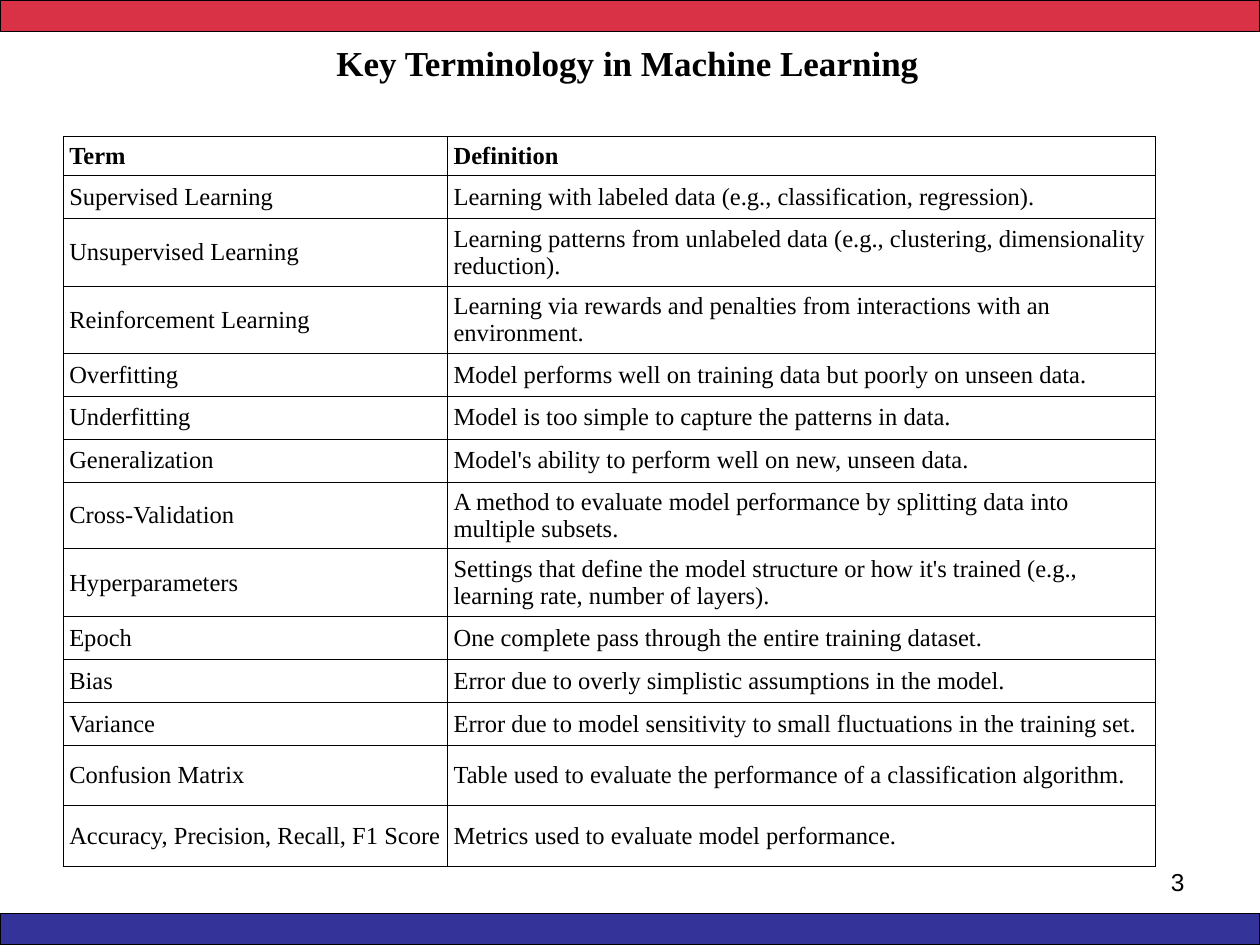
from lxml.etree import SubElement
from pptx import Presentation
from pptx.dml.color import RGBColor
from pptx.enum.shapes import MSO_SHAPE
from pptx.enum.text import MSO_ANCHOR, PP_ALIGN
from pptx.oxml.ns import qn
from pptx.util import Inches, Pt

THEME = {
    "red": RGBColor.from_string("D93145"),
    "blue": RGBColor.from_string("333399"),
    "ink": RGBColor.from_string("000000"),
    "bar_line": Pt(0.75),
    "cell_line": Pt(0.45),
    "title": {"name": "Times New Roman", "size": Pt(20), "bold": True},
    "head": {"name": "Times New Roman", "size": Pt(14), "bold": True},
    "body": {"name": "Times New Roman", "size": Pt(14), "bold": False},
    "number": {"name": "Arial", "size": Pt(14), "bold": False},
}

# Row height in inches, term, definition
ROWS = [
    (0.29, "Term", "Definition"),
    (0.34, "Supervised Learning", "Learning with labeled data (e.g., classification, regression)."),
    (0.54, "Unsupervised Learning",
     "Learning patterns from unlabeled data (e.g., clustering, dimensionality reduction)."),
    (0.53, "Reinforcement Learning",
     "Learning via rewards and penalties from interactions with an environment."),
    (0.34, "Overfitting", "Model performs well on training data but poorly on unseen data."),
    (0.34, "Underfitting", "Model is too simple to capture the patterns in data."),
    (0.34, "Generalization", "Model's ability to perform well on new, unseen data."),
    (0.53, "Cross-Validation",
     "A method to evaluate model performance by splitting data into multiple subsets."),
    (0.54, "Hyperparameters",
     "Settings that define the model structure or how it's trained "
     "(e.g., learning rate, number of layers)."),
    (0.34, "Epoch", "One complete pass through the entire training dataset."),
    (0.34, "Bias", "Error due to overly simplistic assumptions in the model."),
    (0.34, "Variance", "Error due to model sensitivity to small fluctuations in the training set."),
    (0.48, "Confusion Matrix",
     "Table used to evaluate the performance of a classification algorithm."),
    (0.48, "Accuracy, Precision, Recall, F1 Score", "Metrics used to evaluate model performance."),
]
COLUMN_WIDTHS = (3.05, 5.62)


def write_text(frame, text, style, alignment=PP_ALIGN.LEFT):
    frame.word_wrap = True
    para = frame.paragraphs[0]
    para.alignment = alignment
    span = para.add_run()
    span.text = text
    for name, value in THEME[style].items():
        setattr(span.font, name, value)
    span.font.color.rgb = THEME["ink"]


def add_borders(cell):
    properties = cell._tc.get_or_add_tcPr()
    for position, side in enumerate(("a:lnL", "a:lnR", "a:lnT", "a:lnB")):
        line = SubElement(properties, qn(side), w=str(THEME["cell_line"]))
        fill = SubElement(line, qn("a:solidFill"))
        SubElement(fill, qn("a:srgbClr"), val=str(THEME["ink"]))
        properties.insert(position, line)


deck = Presentation()
deck.slide_width, deck.slide_height = Inches(10), Inches(7.5)
page = deck.slides.add_slide(deck.slide_layouts[6])

# Colour bars at the top and bottom edges
for top, color in ((0, "red"), (7.25, "blue")):
    bar = page.shapes.add_shape(MSO_SHAPE.RECTANGLE, 0, Inches(top), Inches(10), Inches(0.25))
    bar.shadow.inherit = False
    bar.fill.solid()
    bar.fill.fore_color.rgb = THEME[color]
    bar.line.color.rgb = THEME["ink"]
    bar.line.width = THEME["bar_line"]

# Terminology table
table = page.shapes.add_table(
    len(ROWS), len(COLUMN_WIDTHS), Inches(0.5), Inches(1.08),
    Inches(sum(COLUMN_WIDTHS)), Inches(sum(row[0] for row in ROWS)),
).table
table.horz_banding = False
for column, width in zip(table.columns, COLUMN_WIDTHS):
    column.width = Inches(width)
for row_index, (height, *texts) in enumerate(ROWS):
    table.rows[row_index].height = Inches(height)
    for column_index, text in enumerate(texts):
        cell = table.cell(row_index, column_index)
        cell.fill.background()
        cell.vertical_anchor = MSO_ANCHOR.MIDDLE
        for side in ("left", "right", "top", "bottom"):
            setattr(cell, f"margin_{side}", Inches(0.05))
        add_borders(cell)
        write_text(cell.text_frame, text, "body" if row_index else "head")

# Page number
number_box = page.shapes.add_textbox(Inches(7.17), Inches(6.83), Inches(2.33), Inches(0.52))
write_text(number_box.text_frame, "3", "number", PP_ALIGN.RIGHT)

# Title
title_box = page.shapes.add_textbox(Inches(2.5), Inches(0.25), Inches(5), Inches(0.77))
title_box.text_frame.margin_left = Inches(0.17)
title_box.text_frame.margin_top = Inches(0.08)
write_text(title_box.text_frame, "Key Terminology in Machine Learning", "title")

deck.save("out.pptx")
